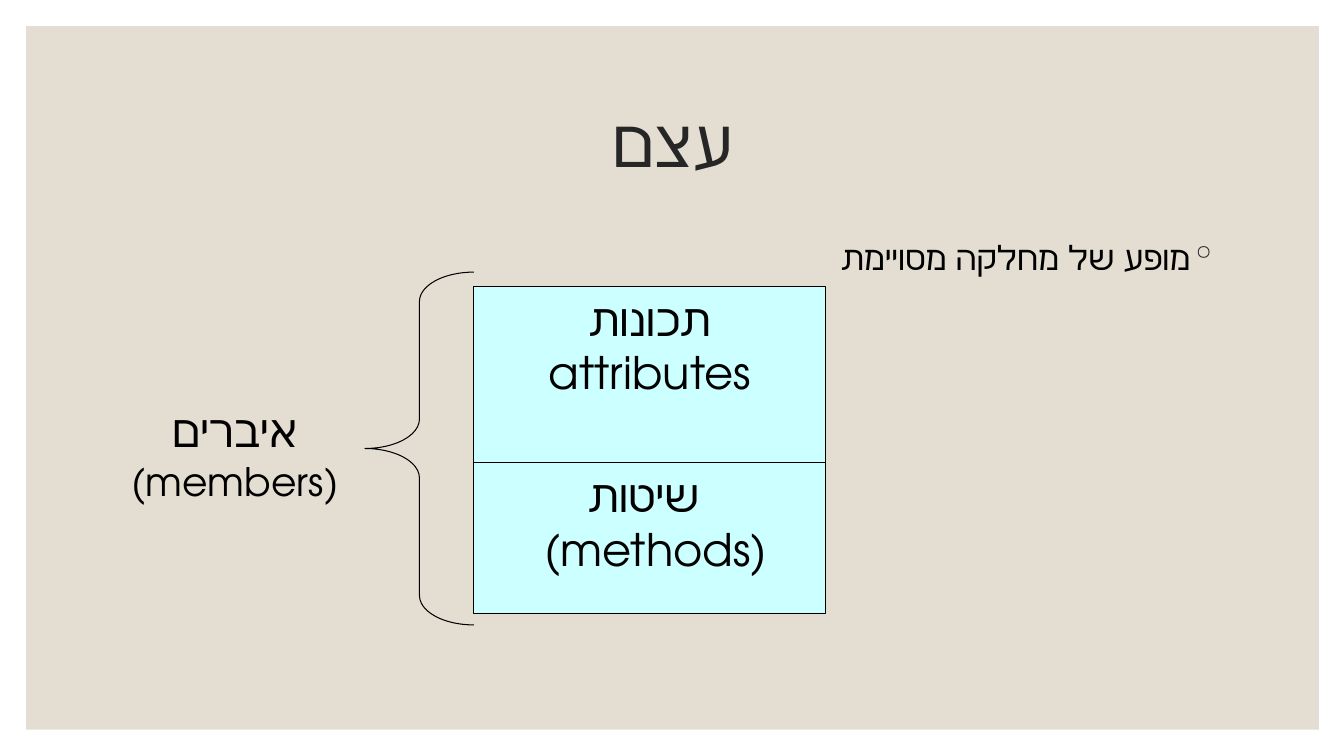
from dataclasses import dataclass
from typing import Any

from lxml import etree
from pptx import Presentation
from pptx import util as u
from pptx.dml.color import RGBColor
from pptx.enum import shapes, text
from pptx.oxml import ns

FONT = "TeX Gyre Adventor"
BLACK = "000000"
GREY = "262626"
SAND = "E3DED1"
AQUA = "CCFFFF"
ALIGN = text.PP_ALIGN
SHAPE = shapes.MSO_SHAPE


@dataclass
class Line:
    words: str
    size: int
    color: str = BLACK


@dataclass
class Part:
    top: float
    height: float
    lines: list[Line]


def paint(fmt: Any, color: str) -> None:
    if hasattr(fmt, "solid"):
        fmt.solid()
        fmt = fmt.fore_color
    fmt.rgb = RGBColor.from_string(color)


def apply(obj: Any, values: dict[str, Any]) -> None:
    for name, value in values.items():
        setattr(obj, name, value)


def place(item: Any, left: float, top: float, width: float, height: float) -> None:
    sides = dict(left=left, top=top, width=width, height=height)
    apply(item, {name: u.Inches(size) for name, size in sides.items()})


def write(item: Any, lines: list[Line], frame: dict[str, Any], para: dict[str, Any]) -> None:
    body = item.text_frame
    apply(body, {"word_wrap": True, **frame})
    for i, line in enumerate(lines):
        par = body.paragraphs[0] if i == 0 else body.add_paragraph()
        apply(par, para)
        run = par.add_run()
        run.text = line.words
        apply(run.font, {"size": u.Pt(line.size), "name": FONT})
        paint(run.font.color, line.color)
        etree.SubElement(run.font._element, ns.qn("a:cs"), typeface=FONT)


def draw(slide: Any, kind: Any, box: tuple, fill: str = "", line: str = "") -> Any:
    item = slide.shapes.add_shape(kind, *map(u.Inches, box))
    item.shadow.inherit = False
    for fmt, color in ((item.fill, fill), (item.line.fill, line)):
        if color:
            paint(fmt, color)
        else:
            fmt.background()
    if line:
        item.line.width = u.Pt(0.75)
    return item


def label(slide: Any, box: tuple, lines: list[Line], frame: dict, para: dict) -> Any:
    item = slide.shapes.add_textbox(*map(u.Inches, box))
    write(item, lines, frame, para)
    return item


def bullet(par: Any, sign: str, color: str) -> None:
    props = par._p.get_or_add_pPr()
    apply_xml = {"rtl": "1", "marL": str(u.Inches(0.2)), "indent": str(u.Inches(-0.2))}
    for name, value in apply_xml.items():
        props.set(name, value)
    tint = etree.SubElement(props, ns.qn("a:buClr"))
    etree.SubElement(tint, ns.qn("a:srgbClr"), val=color)
    etree.SubElement(props, ns.qn("a:buChar"), char=sign)


deck = Presentation()
apply(deck, {"slide_width": u.Inches(13.33), "slide_height": u.Inches(7.5)})
slide = deck.slides.add_slide(deck.slide_layouts[5])

panel = draw(slide, SHAPE.RECTANGLE, (0.26, 0.26, 12.82, 6.98), SAND)
title = slide.shapes.title
title._element.addprevious(panel._element)
place(title, 1.17, 0.7, 11, 1.5)
write(title, [Line("עצם", 48, GREY)],
      {"vertical_anchor": text.MSO_ANCHOR.MIDDLE},
      {"alignment": ALIGN.CENTER, "line_spacing": 0.9})
title.text_frame.paragraphs[0]._p.get_or_add_pPr().set("rtl", "1")

note = label(slide, (1.17, 2.3, 11, 4.3), [Line("מופע של מחלקה מסויימת ", 24)],
             {}, {"alignment": ALIGN.RIGHT, "space_before": u.Pt(9)})
bullet(note.text_frame.paragraphs[0], "◦", GREY)

PARTS = [
    Part(2.84, 1.79, [Line("תכונות", 32), Line("attributes", 32)]),
    Part(4.59, 1.5, [Line("שיטות ", 32), Line(" (methods)", 32)]),
]
MID = {"alignment": ALIGN.CENTER}
for part in PARTS:
    cell = draw(slide, SHAPE.RECTANGLE, (4.7, part.top, 3.49, part.height), AQUA, BLACK)
    write(cell, part.lines, {"vertical_anchor": text.MSO_ANCHOR.TOP}, MID)

brace = draw(slide, SHAPE.LEFT_BRACE, (3.62, 2.7, 1.08, 3.5), line=BLACK)
brace.adjustments[0] = 0.27
label(slide, (1.12, 3.95, 2.42, 1.34), [Line("איברים", 32), Line("(members)", 28)],
      {"auto_size": text.MSO_AUTO_SIZE.SHAPE_TO_FIT_TEXT}, MID)

deck.save("out.pptx")
